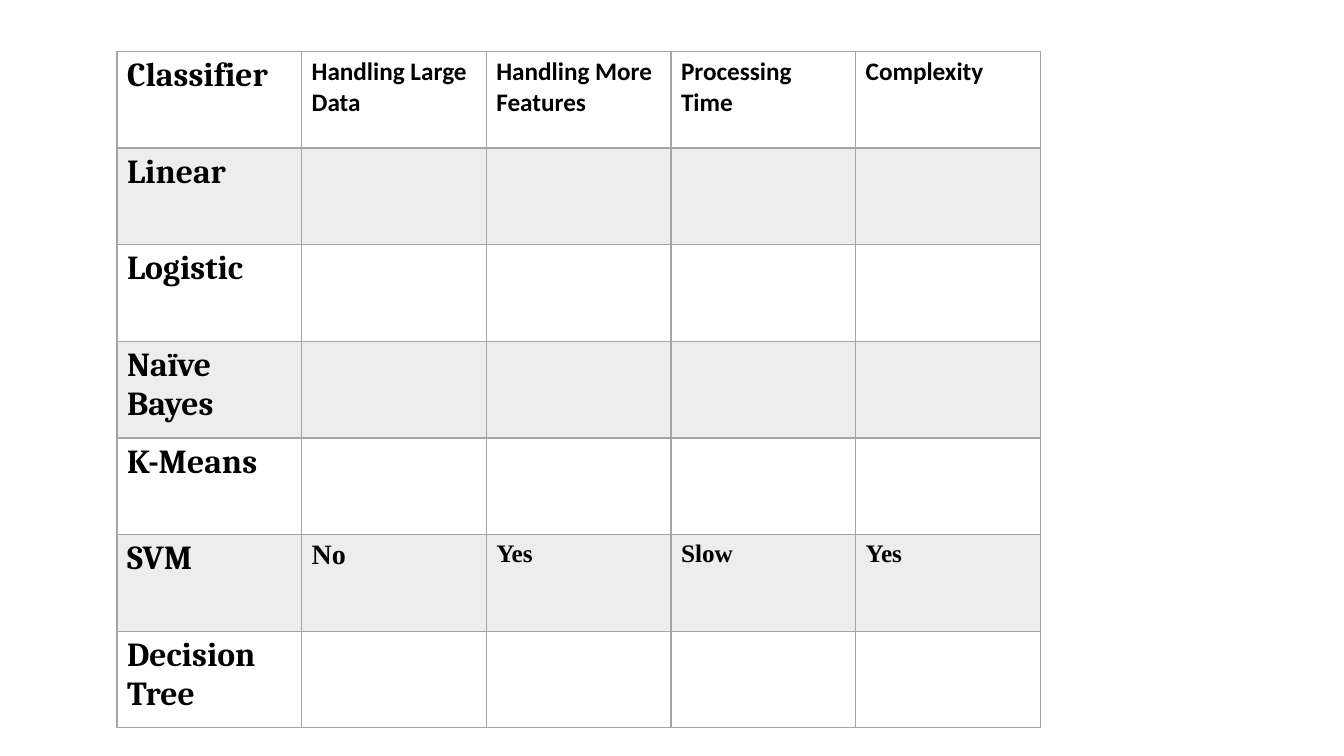
from pptx import Presentation
from pptx import util as u
from pptx.dml import color
from pptx.oxml import ns, xmlchemy

WIDE, HIGH = 13.33, 7.5
GRAY, BAND, BLACK = "A5A5A5", "EDEDED", "000000"
HEADS = ["Classifier", "Handling Large Data", "Handling More Features",
         "Processing Time", "Complexity"]
MODELS = ["Linear", "Logistic", "Naïve Bayes", "K-Means", "SVM", "Decision Tree"]
MARKS = {"SVM": ["No", "Yes", "Slow", "Yes"]}


def tint(code):
    return color.RGBColor.from_string(code)


def write(cell, words, size=18, font="Calibri", ink=BLACK, bold=True):
    run = cell.text_frame.paragraphs[0].add_run()
    run.text = words
    run.font.size = u.Pt(size)
    run.font.name = font
    run.font.bold = bold
    run.font.color.rgb = tint(ink)


def frame(cell, base=1):
    props = cell._tc.get_or_add_tcPr()
    for side, width in zip("LRTB", (1, 1, 1, base)):
        line = xmlchemy.OxmlElement(f"a:ln{side}")
        line.set("w", str(u.Pt(width)))
        fill = xmlchemy.OxmlElement("a:solidFill")
        shade = xmlchemy.OxmlElement("a:srgbClr")
        shade.set("val", GRAY)
        fill.append(shade)
        line.append(fill)
        props.append(line)


def paint(cell, row):
    frame(cell, base=1 if row else 2)
    if row % 2:
        cell.fill.solid()
        cell.fill.fore_color.rgb = tint(BAND)
    else:
        cell.fill.background()


def style(row, col):
    if col == 0:
        return {"size": 24, "font": "Cambria"}
    if row == 0:
        return {}
    return {"size": 20 if col == 1 else 18, "font": "Times New Roman"}


def matrix(slide, left, top, width, height):
    rows = [HEADS] + [[name] + MARKS.get(name, [""] * 4) for name in MODELS]
    box = [u.Inches(n) for n in (left, top, width, height)]
    table = slide.shapes.add_table(len(rows), len(HEADS), *box).table
    table.first_row = table.horz_banding = False
    for i, words in enumerate(rows):
        for j, word in enumerate(words):
            cell = table.cell(i, j)
            paint(cell, i)
            if word:
                write(cell, word, **style(i, j))


deck = Presentation()
deck.slide_width, deck.slide_height = u.Inches(WIDE), u.Inches(HIGH)
page = deck.slides.add_slide(deck.slide_layouts[6])
matrix(page, WIDE * 0.087, HIGH * 0.068, WIDE * 0.687, HIGH * 0.895)
deck.save("out.pptx")
